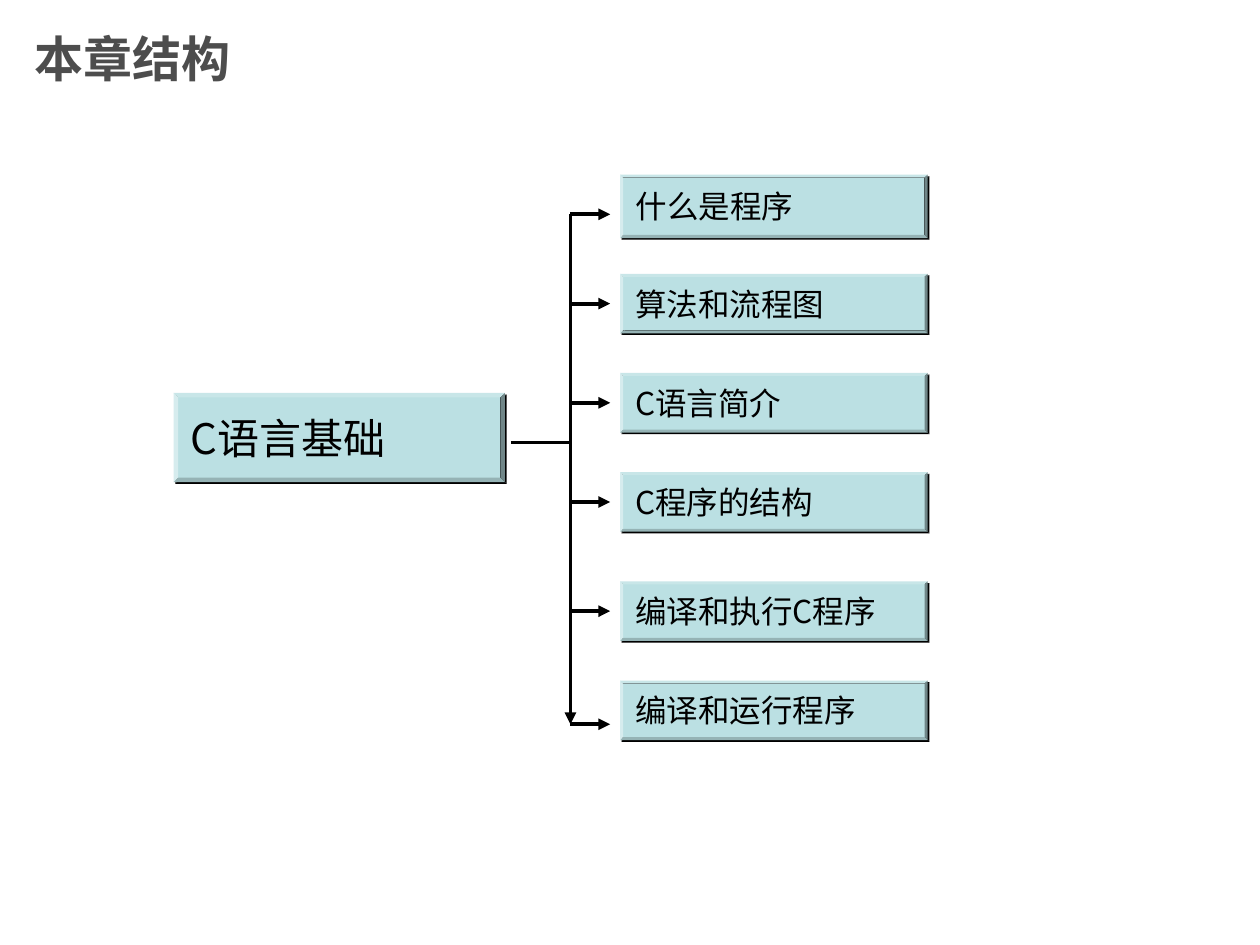
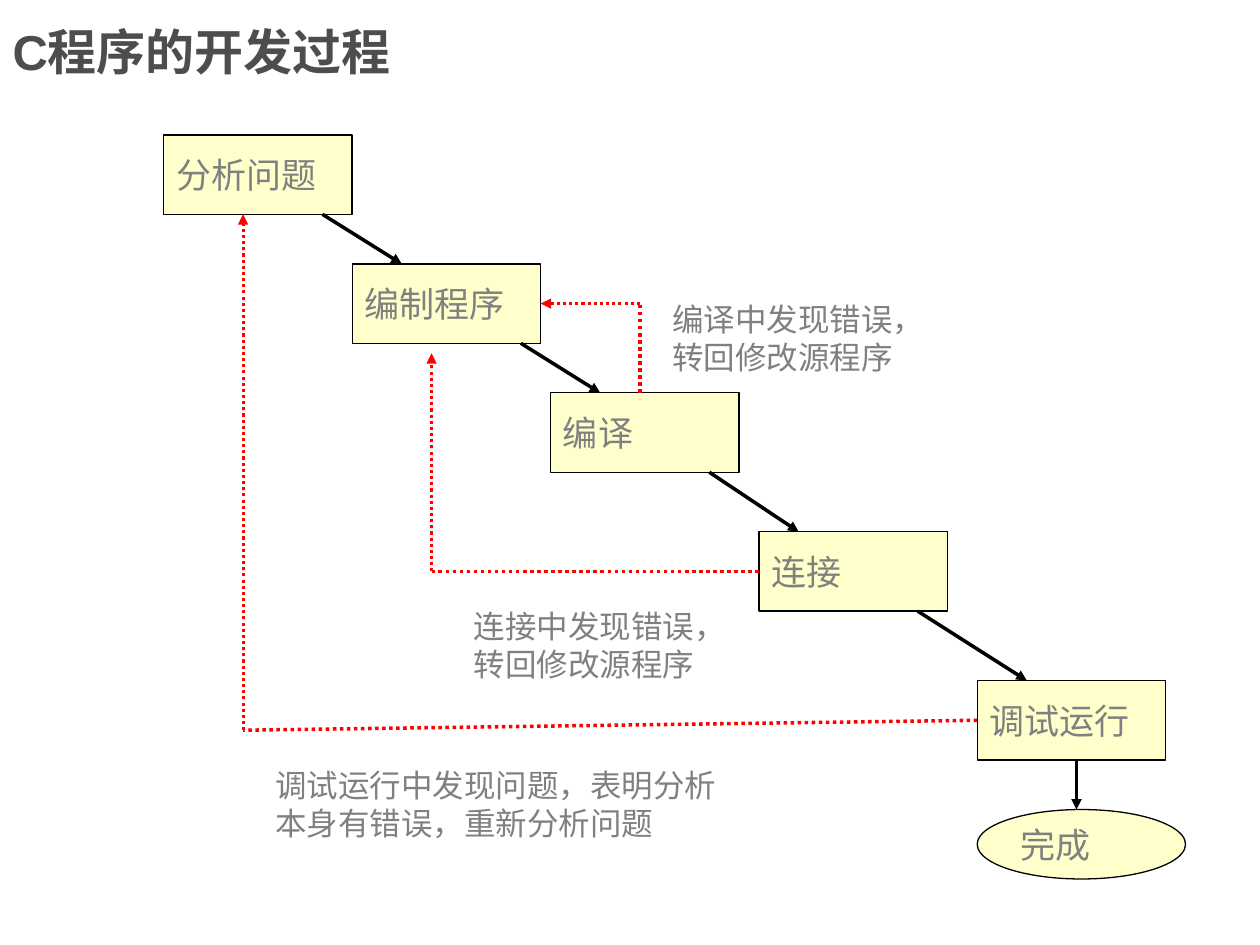
"""Two slides on C basics: the chapter structure and the development process."""
from itertools import pairwise

from lxml.etree import SubElement
from pptx import Presentation
from pptx.dml.color import RGBColor
from pptx.enum.dml import MSO_LINE
from pptx.enum.shapes import MSO_CONNECTOR, MSO_SHAPE
from pptx.enum.text import MSO_ANCHOR, MSO_AUTO_SIZE, PP_ALIGN
from pptx.oxml.ns import qn
from pptx.util import Inches, Pt

BLACK, GREY, TITLE_GREY = "000000", "808080", "4D4D4D"
RED, TEAL, CREAM = "FF0000", "BBE0E3", "FFFFCC"
LATIN, CHINESE = "Arial", "Noto Sans CJK SC"
COLUMNS = 127

presentation = Presentation()
presentation.slide_width, presentation.slide_height = Inches(10), Inches(7.5)
cell = presentation.slide_width / COLUMNS


def write(shape, text, size, font, color, anchor=MSO_ANCHOR.MIDDLE, wrap=False, bold=False):
    """Put one left-aligned run into a shape."""
    frame = shape.text_frame
    frame.vertical_anchor, frame.word_wrap = anchor, wrap
    paragraph = frame.paragraphs[0]
    paragraph.alignment = PP_ALIGN.LEFT
    run = paragraph.add_run()
    run.text = text
    run.font.size, run.font.name, run.font.bold = Pt(size), font, bold
    run.font.color.rgb = RGBColor.from_string(color)
    SubElement(run.font._element, qn("a:ea"), typeface=CHINESE)


def draw_line(slide, start, end, color=BLACK, width=2, arrow=True, dotted=False):
    """Draw a straight line between two grid points."""
    ends = [round(value * cell) for value in (*start, *end)]
    connector = slide.shapes.add_connector(MSO_CONNECTOR.STRAIGHT, *ends)
    connector.line.color.rgb = RGBColor.from_string(color)
    connector.line.width = Pt(width)
    if dotted:
        connector.line.dash_style = MSO_LINE.ROUND_DOT
    properties = connector._element.spPr
    if arrow:
        SubElement(properties.find(qn("a:ln")), qn("a:tailEnd"), type="triangle")
    SubElement(properties, qn("a:effectLst"))


slides = []
for title_text, left, width, height in [
    ("本章结构", 2.2, 95.2, 11.7),
    ("C程序的开发过程", 0, 62.6, 10.3),
]:
    slide = presentation.slides.add_slide(presentation.slide_layouts[5])
    title = slide.shapes.title
    title.left, title.top = round(left * cell), 0
    title.width, title.height = round(width * cell), round(height * cell)
    write(title, title_text, 28, LATIN, TITLE_GREY, wrap=True, bold=True)
    slides.append(slide)
structure_slide, process_slide = slides

TOPIC_LEFT, TOPIC_WIDTH, TRUNK, TRUNK_TOP, TRUNK_BOTTOM = 62.5, 31, 57.5, 21.6, 73
topics = [
    ("什么是程序", 17.6, 6.4, TRUNK_TOP),
    ("算法和流程图", 27.6, 6, 30.6),
    ("C语言简介", 37.6, 6, 40.6),
    ("C程序的结构", 47.6, 6, 50.6),
    ("编译和执行C程序", 58.6, 6, 61.6),
    ("编译和运行程序", 68.6, 6, TRUNK_BOTTOM),
]
bevels = [("C语言基础", 24, 17.5, 39.6, 33.4, 9)]
for text, top, height, branch in topics:
    bevels.append((text, 18, TOPIC_LEFT, top, TOPIC_WIDTH, height))
    draw_line(structure_slide, (TRUNK, branch), (TOPIC_LEFT - 1, branch), width=2.25)
draw_line(structure_slide, (TRUNK, TRUNK_TOP), (TRUNK, TRUNK_BOTTOM), width=2.25)
draw_line(structure_slide, (51.5, 44.6), (TRUNK, 44.6), width=2.25, arrow=False)

for text, size, *place in bevels:
    bevel = structure_slide.shapes.add_shape(
        MSO_SHAPE.BEVEL, *[round(value * cell) for value in place])
    bevel.adjustments[0] = 0.05
    bevel.fill.solid()
    bevel.fill.fore_color.rgb = RGBColor.from_string(TEAL)
    bevel.line.fill.background()
    bevel.shadow.inherit = False
    shadow = SubElement(bevel._element.spPr.find(qn("a:effectLst")), qn("a:outerShdw"),
                        dist=str(Pt(1.4)), dir="2700000", algn="ctr", rotWithShape="0")
    SubElement(shadow, qn("a:srgbClr"), val=BLACK)
    write(bevel, text, size, CHINESE, BLACK)

STEP_WIDTH, STEP_HEIGHT = 19, 8
steps = [
    ("分析问题", 16.5, 13.6),
    ("编制程序", 35.5, 26.6),
    ("编译", 55.5, 39.6),
    ("连接", 76.5, 53.6),
    ("调试运行", 98.5, 68.6),
]
boxes = [(MSO_SHAPE.RECTANGLE, text, left, top, STEP_WIDTH, STEP_HEIGHT)
         for text, left, top in steps]
boxes.append((MSO_SHAPE.OVAL, "完成", 98.5, 81.6, 21, 7))
for kind, text, *place in boxes:
    box = process_slide.shapes.add_shape(kind, *[round(value * cell) for value in place])
    box.fill.solid()
    box.fill.fore_color.rgb = RGBColor.from_string(CREAM)
    box.line.color.rgb = RGBColor.from_string(BLACK)
    box.line.width = Pt(0.75)
    box.shadow.inherit = False
    write(box, text, 20, LATIN, GREY)

arrow_offsets = [(16, 5), (17, 5), (16, 4), (16, 5)]
for (step, following), (leave, arrive) in zip(pairwise(steps), arrow_offsets):
    draw_line(process_slide, (step[1] + leave, step[2] + STEP_HEIGHT),
              (following[1] + arrive, following[2]))
draw_line(process_slide, (108.5, 76.6), (108.5, 81.6))

feedback_routes = [
    ((64.5, 39.6), (64.5, 30.6), (54.5, 30.6)),
    ((76.5, 57.6), (43.5, 57.6), (43.5, 35.6)),
    ((98.5, 72.6), (24.5, 73.6), (24.5, 21.6)),
]
for start, corner, end in feedback_routes:
    draw_line(process_slide, start, corner, RED, arrow=False, dotted=True)
    draw_line(process_slide, corner, end, RED, width=1.75, dotted=True)

notes = [
    ("编译中发现错误，转回修改源程序", 66.5, 29.6, 28),
    ("连接中发现错误，转回修改源程序", 46.5, 60.6, 28),
    ("调试运行中发现问题，表明分析本身有错误，重新分析问题", 26.5, 76.6, 47),
]
for text, *place in notes:
    note = process_slide.shapes.add_textbox(*[round(value * cell) for value in (*place, 8.9)])
    write(note, text, 18, LATIN, GREY, anchor=MSO_ANCHOR.TOP, wrap=True)
    note.text_frame.auto_size = MSO_AUTO_SIZE.SHAPE_TO_FIT_TEXT

presentation.save("out.pptx")
